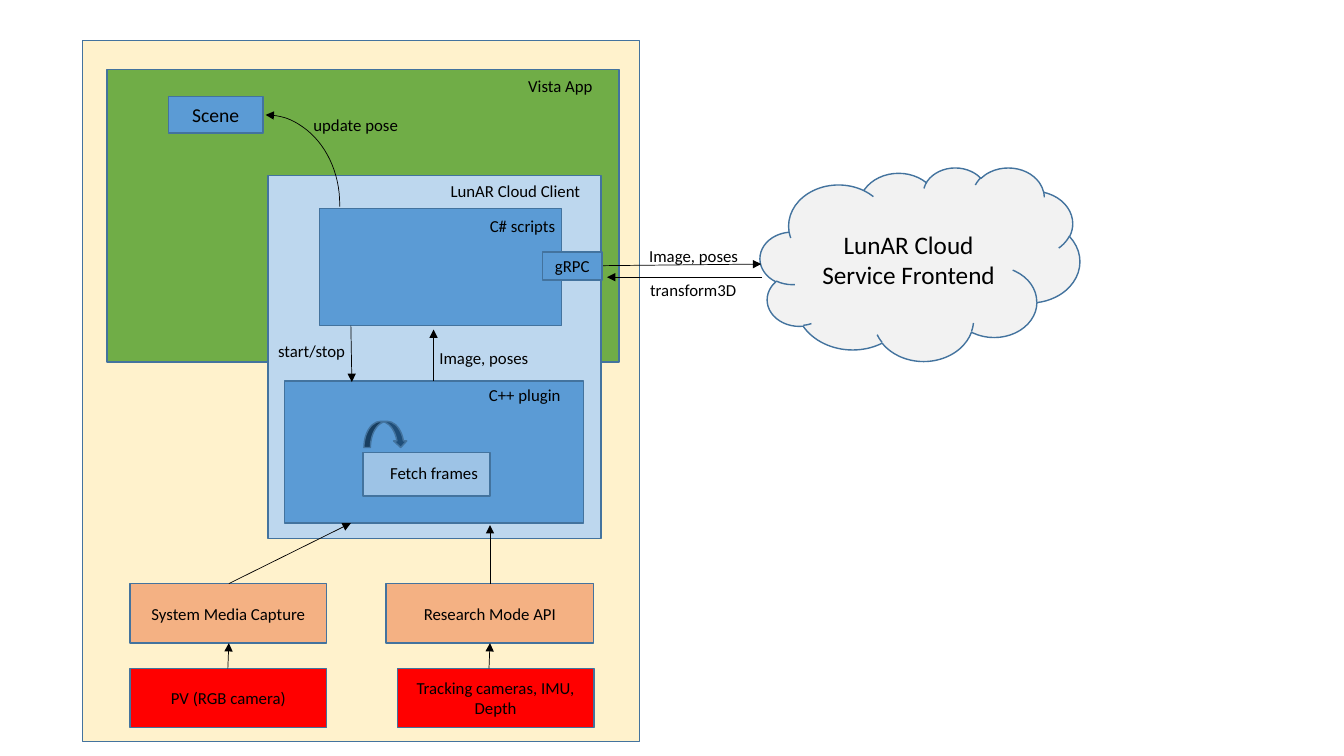
from dataclasses import dataclass

from lxml.etree import SubElement
from pptx import Presentation
from pptx.dml.color import RGBColor
from pptx.enum.shapes import MSO_CONNECTOR, MSO_SHAPE
from pptx.enum.text import MSO_ANCHOR, PP_ALIGN
from pptx.oxml.ns import qn
from pptx.util import Inches, Pt


@dataclass(frozen=True)
class Theme:
    font: str = "Calibri"
    ink: str = "000000"
    outline: str = "43739E"
    device: str = "FFF2CC"
    app: str = "70AD47"
    client: str = "BDD7EE"
    module: str = "5B9BD5"
    task: str = "9DC3E6"
    api: str = "F4B183"
    sensor: str = "FF0000"
    cloud: str = "F2F2F2"
    loop: str = "1F4E79"
    label_size: int = 12
    scene_size: int = 14
    cloud_size: int = 18


theme = Theme()
prs = Presentation()
prs.slide_width, prs.slide_height = Inches(13.33), Inches(7.5)
slide = prs.slides.add_slide(prs.slide_layouts[6])


def write(holder, text, size, align):
    frame = holder.text_frame
    frame.word_wrap = True
    frame.text = text
    paragraph = frame.paragraphs[0]
    paragraph.alignment = align
    font = paragraph.runs[0].font
    font.name, font.size = theme.font, Pt(size)
    font.color.rgb = RGBColor.from_string(theme.ink)


def add_block(box, fill, text="", size=theme.label_size, preset=MSO_SHAPE.RECTANGLE):
    block = slide.shapes.add_shape(preset, *map(Inches, box))
    block.shadow.inherit = False
    block.fill.solid()
    block.fill.fore_color.rgb = RGBColor.from_string(fill)
    block.line.color.rgb = RGBColor.from_string(theme.outline)
    block.line.width = Pt(1)
    if text:
        write(block, text, size, PP_ALIGN.CENTER)
        block.text_frame.vertical_anchor = MSO_ANCHOR.MIDDLE


# Nested containers: device, app, cloud client and its two modules
for box, fill in (
    ((0.82, 0.4, 5.52, 6.96), theme.device),
    ((1.06, 0.69, 5.08, 2.9), theme.app),
    ((2.66, 1.74, 3.3, 3.6), theme.client),
    ((3.17, 2.07, 2.4, 1.16), theme.module),
    ((2.82, 3.78, 2.97, 1.41), theme.module),
    ((3.6, 4.49, 1.26, 0.43), theme.task),
):
    add_block(box, fill)

# Capture interfaces above their sensors
api_top, sensor_top, row_height = 5.79, 6.63, 0.59
for left, width, top, fill, text in (
    (1.29, 1.95, api_top, theme.api, "System Media Capture"),
    (3.83, 2.06, api_top, theme.api, "Research Mode API"),
    (1.29, 1.95, sensor_top, theme.sensor, "PV (RGB camera)"),
    (3.94, 1.95, sensor_top, theme.sensor, "Tracking cameras, IMU, Depth"),
):
    add_block((left, top, width, row_height), fill, text)

# Cloud service and the frame-fetching loop
add_block((7.54, 1.66, 3.17, 1.92), theme.cloud, "LunAR Cloud Service Frontend",
          theme.cloud_size, MSO_SHAPE.CLOUD)
add_block((3.61, 4.18, 0.43, 0.26), theme.loop, preset=MSO_SHAPE.CURVED_DOWN_ARROW)

# Data flow arrows
for start_x, start_y, end_x, end_y in (
    (3.48, 3.23, 3.49, 3.79),
    (4.3, 3.78, 4.3, 3.27),
    (5.57, 2.64, 7.55, 2.62),
    (7.56, 2.75, 6.02, 2.75),
    (2.27, api_top, 3.48, 5.19),
    (4.86, api_top, 4.86, 5.21),
    (2.26, sensor_top, 2.27, 6.38),
    (4.85, sensor_top, 4.86, 6.38),
):
    flow = slide.shapes.add_connector(
        MSO_CONNECTOR.STRAIGHT, Inches(start_x), Inches(start_y), Inches(end_x), Inches(end_y))
    flow.line.color.rgb = RGBColor.from_string(theme.ink)
    flow.line.width = Pt(0.5)
    SubElement(flow.line._get_or_add_ln(), qn("a:tailEnd"), type="triangle")
    SubElement(flow._element.spPr, qn("a:effectLst"))

# Blocks that sit over the arrows
add_block((5.38, 2.5, 0.59, 0.28), theme.module, "gRPC")
add_block((1.67, 0.96, 0.94, 0.36), theme.module, "Scene", theme.scene_size)

# Curved pose update from the scripts to the scene
pose_update = slide.shapes.add_shape(
    MSO_SHAPE.ARC, Inches(1.9), Inches(1.14), Inches(1.47), Inches(1.77))
pose_update.adjustments[0] = 162
pose_update.adjustments[1] = 1.2
pose_update.shadow.inherit = False
pose_update.fill.background()
pose_update.line.color.rgb = RGBColor.from_string(theme.ink)
pose_update.line.width = Pt(0.5)
SubElement(pose_update.line._get_or_add_ln(), qn("a:headEnd"), type="triangle")

# Container names and arrow labels
for left, top, width, text in (
    (4.37, 1.74, 1.46, "LunAR Cloud Client"),
    (5.14, 0.7, 0.88, "Vista App"),
    (4.76, 2.09, 1.03, "C# scripts"),
    (4.75, 3.77, 0.92, "C++ plugin"),
    (3.77, 4.54, 1.08, "Fetch frames"),
    (2.66, 3.33, 1.03, "start/stop"),
    (4.26, 3.4, 1.16, "Image, poses"),
    (6.34, 2.39, 1.1, "Image, poses"),
    (6.35, 2.73, 1.06, "transform3D"),
    (3.01, 1.09, 1.05, "update pose"),
):
    label = slide.shapes.add_textbox(Inches(left), Inches(top), Inches(width), Inches(0.3))
    write(label, text, theme.label_size, PP_ALIGN.LEFT)
    label.text_frame.margin_right = 0

prs.save("out.pptx")
